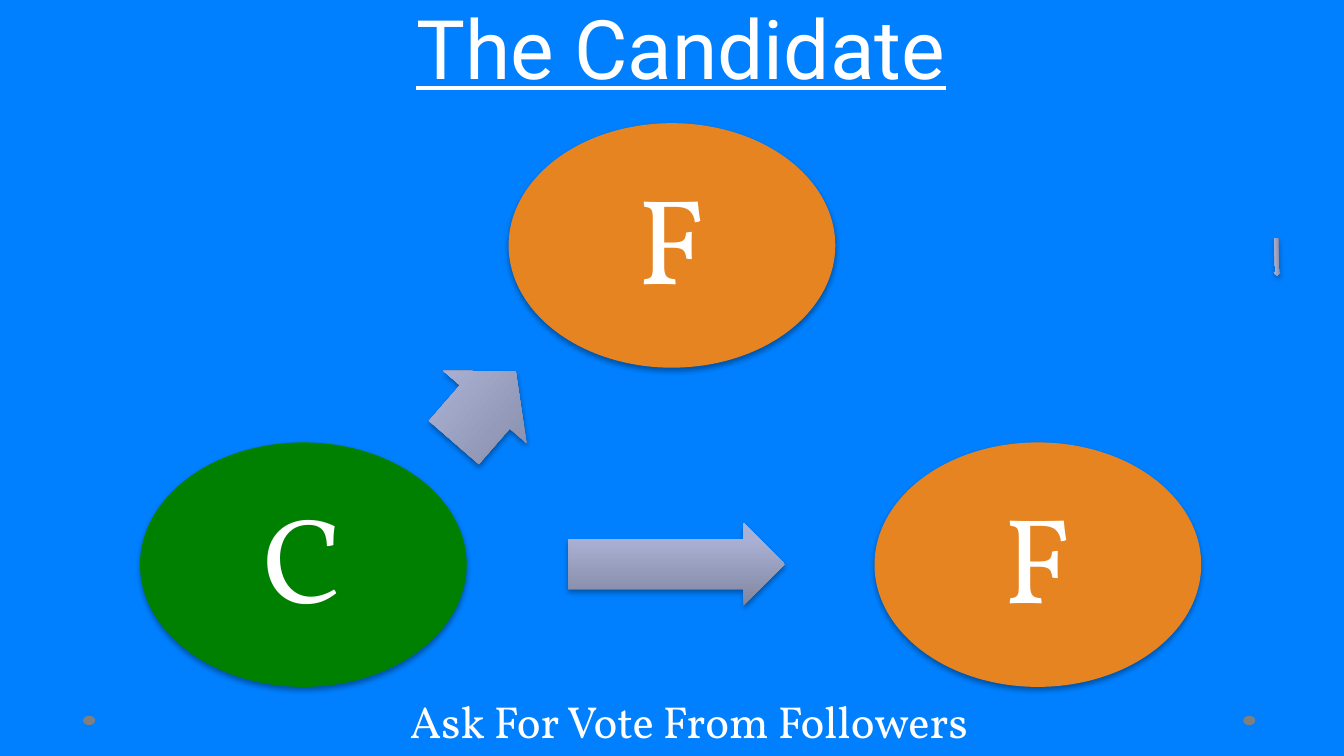
from pptx import Presentation
from pptx.dml.color import RGBColor
from pptx.enum.shapes import MSO_SHAPE as Kind
from pptx.enum.text import MSO_ANCHOR as Anchor, PP_ALIGN as Align
from pptx.oxml import parse_xml
from pptx.oxml.ns import nsdecls, qn
from pptx.util import Pt

WHITE, ORANGE, GREEN, GREY = "FFFFFF", "E68422", "008000", "7F7F7F"
STEEL = [(0, "8086A0"), (80, "A9B0D3"), (100, "A9B1D5")]
OVAL_W, OVAL_H = 175, 131


def color(code):
    return RGBColor.from_string(code)


def write(shape, text, font, size, anchor, pad, space=None):
    """Fill a shape with one centred white line."""
    frame = shape.text_frame
    frame.word_wrap = True
    frame.vertical_anchor = anchor
    frame.margin_left = frame.margin_right = Pt(pad[0])
    frame.margin_top = frame.margin_bottom = Pt(pad[1])
    frame.text = text
    para = frame.paragraphs[0]
    para.alignment = Align.CENTER
    para.line_spacing = space
    para.font.name, para.font.size = font, Pt(size)
    para.font.color.rgb = color(WHITE)
    return para


def add_form(slide, kind, box, fill=None):
    """Add a preset shape without outline or shadow."""
    shape = slide.shapes.add_shape(kind, *map(Pt, box))
    if fill:
        shape.fill.solid()
        shape.fill.fore_color.rgb = color(fill)
    shape.line.fill.background()
    shape.shadow.inherit = False
    return shape


def add_shade(shape):
    """Cast a soft shadow straight down."""
    shade = parse_xml(
        f'<a:outerShdw {nsdecls("a")} blurRad="{Pt(3.1)}" dist="{Pt(1.8)}" '
        'dir="5400000" rotWithShape="0"><a:srgbClr val="000000">'
        '<a:alpha val="35000"/></a:srgbClr></a:outerShdw>')
    shape._element.spPr.find(qn("a:effectLst")).append(shade)


def add_oval(slide, mid_x, mid_y, letter, fill):
    box = (mid_x - OVAL_W / 2, mid_y - OVAL_H / 2, OVAL_W, OVAL_H)
    oval = add_form(slide, Kind.OVAL, box, fill)
    add_shade(oval)
    write(oval, letter, "Vollkorn", 65, Anchor.MIDDLE, (6.5, 6.5), 0.9)


def add_arrow(slide, box, turn=0, flip=False):
    arrow = add_form(slide, Kind.RIGHT_ARROW, box)
    arrow.adjustments[0], arrow.adjustments[1] = 0.6, 0.5
    arrow.rotation = turn
    spec = arrow._element.spPr
    if flip:
        spec.find(qn("a:xfrm")).set("flipH", "1")
    # Three-stop gradient, dark at the bottom
    stops = "".join(f'<a:gs pos="{at * 1000}"><a:srgbClr val="{code}"/></a:gs>'
                    for at, code in STEEL)
    spec.find(qn("a:prstGeom")).addnext(parse_xml(
        f'<a:gradFill {nsdecls("a")} rotWithShape="1"><a:gsLst>{stops}</a:gsLst>'
        '<a:lin ang="16200000" scaled="0"/></a:gradFill>'))
    add_shade(arrow)


def add_title(slide, text):
    title = slide.shapes.title
    title.left, title.top, title.width, title.height = map(Pt, (10, 0, 710, 55))
    para = write(title, text, "Roboto", 44, Anchor.BOTTOM, (7.2, 3.6), 1.32)
    para.font.underline = True


def add_note(slide, text, box):
    note = slide.shapes.add_textbox(*map(Pt, box))
    write(note, text, "Vollkorn", 24, Anchor.TOP, (7.2, 3.6))


def main():
    deck = Presentation()
    deck.slide_width, deck.slide_height = Pt(720), Pt(405)
    slide = deck.slides.add_slide(deck.slide_layouts[5])
    back = slide.background.fill
    back.solid()
    back.fore_color.rgb = color("0080FF")

    # Corner dots
    for left in (44.5, 666):
        add_form(slide, Kind.OVAL, (left, 383.5, 6.5, 5), GREY)

    add_title(slide, "The Candidate")

    # Followers and candidate
    add_oval(slide, 360, 131.5, "F", ORANGE)
    add_oval(slide, 556, 302.5, "F", ORANGE)
    add_oval(slide, 162.5, 302.5, "C", GREEN)

    # Arrows from the candidate, and a stray one at the right edge
    add_arrow(slide, (304.5, 280, 116, 44.5))
    add_arrow(slide, (234.5, 188.5, 50.5, 59), turn=311)
    add_arrow(slide, (674, 136, 20, 3.5), turn=268.6, flip=True)

    add_note(slide, "Ask For Vote From Followers", (195, 368, 348, 27))
    deck.save("out.pptx")


if __name__ == "__main__":
    main()
